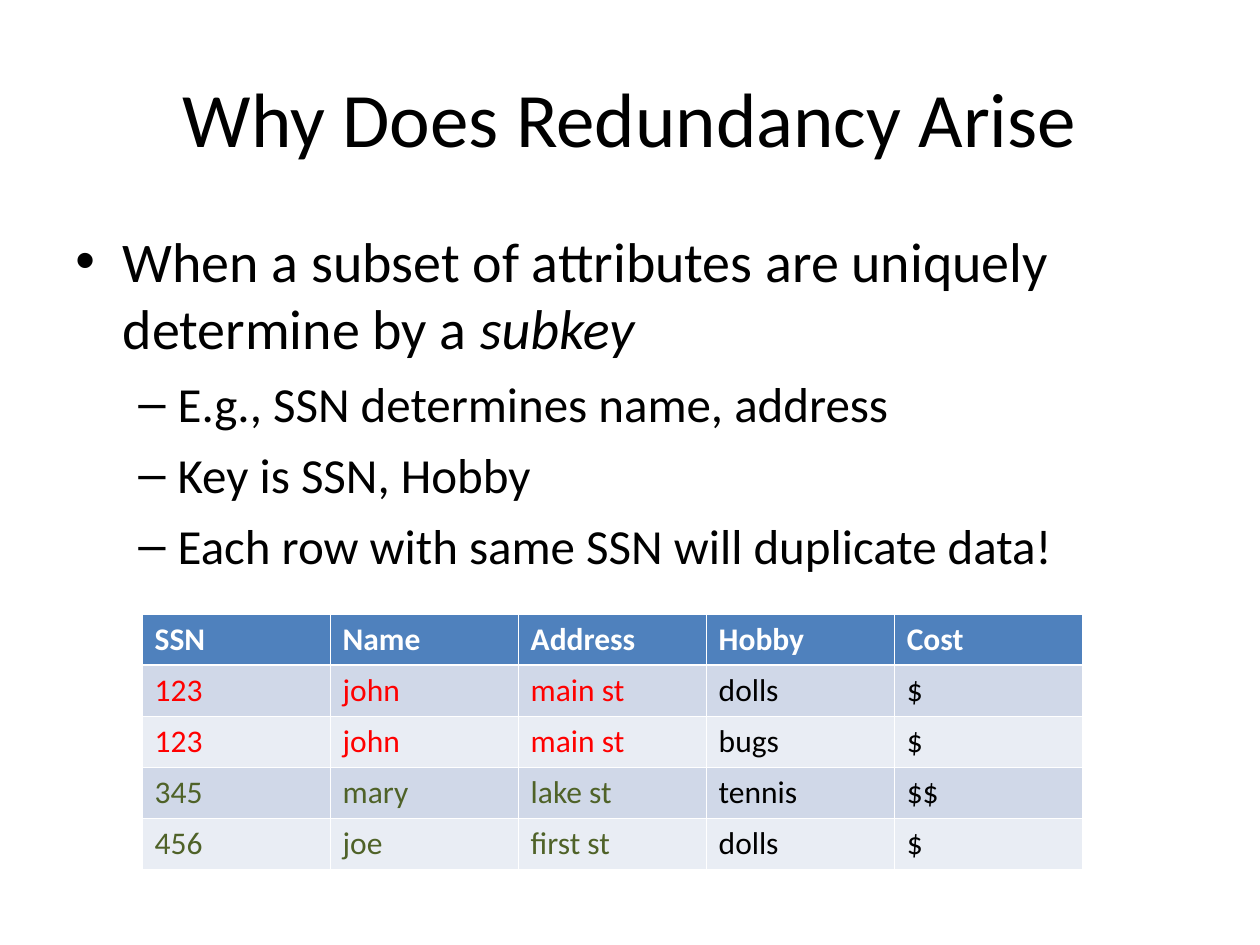
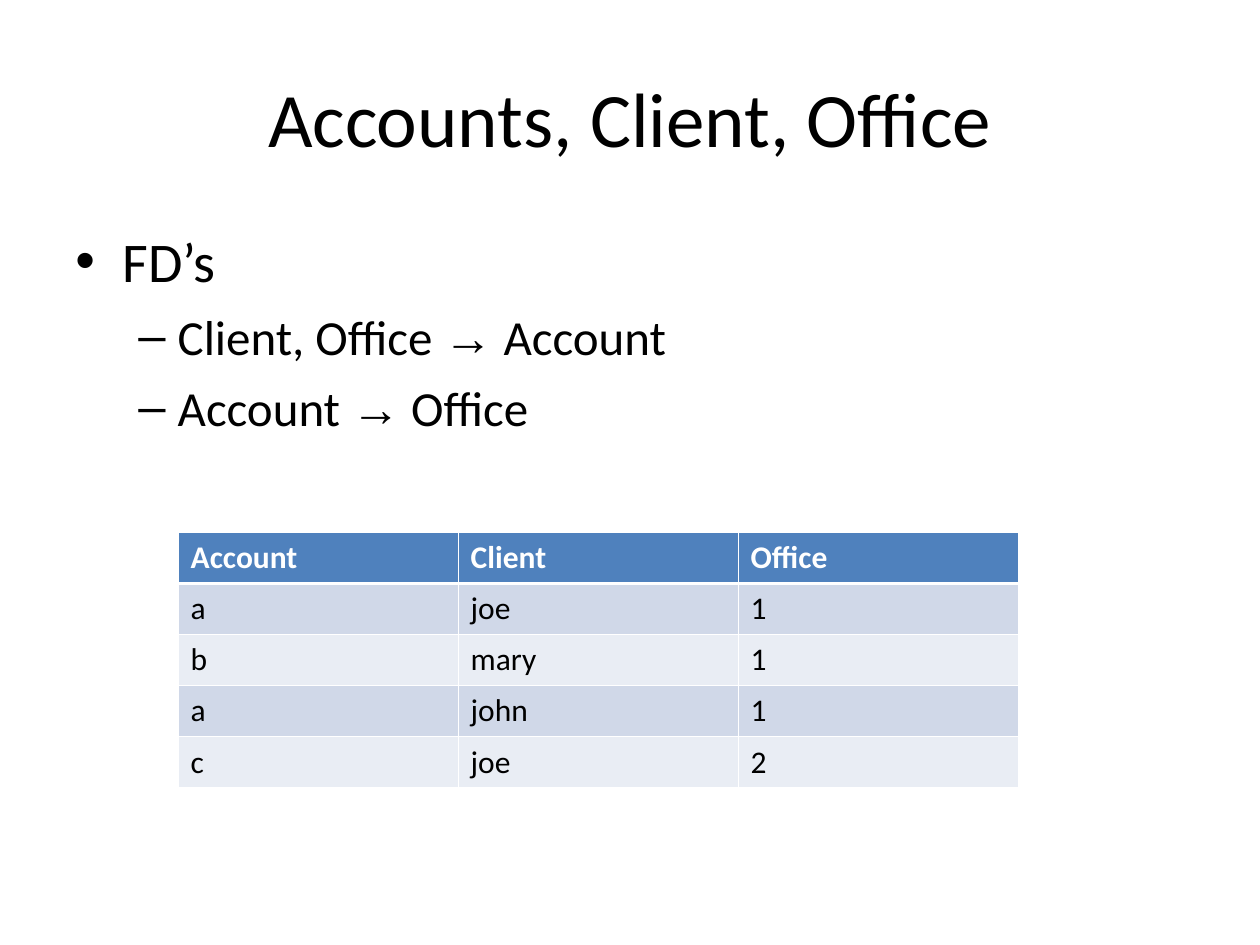
from lxml import etree
from pptx import Presentation
from pptx.dml.color import RGBColor
from pptx.enum.text import MSO_ANCHOR, PP_ALIGN
from pptx.oxml.ns import qn
from pptx.util import Pt

CENTER = PP_ALIGN.CENTER
TOP, MIDDLE = MSO_ANCHOR.TOP, MSO_ANCHOR.MIDDLE
COLORS = {"text": "000000", "white": "FFFFFF", "header": "4F81BD",
          "band_dark": "D0D8E8", "band_light": "E9EDF4",
          "red": "FF0000", "green": "4F6228"}
FONT, SYMBOL_FONT = "Calibri", "Arial"
# Bullet levels: character, size, left indent, hanging indent, space before
LEVELS = [("•", 32, 27, 27, 8), ("–", 28, 58.5, 22.5, 7)]
ROW_H = 29.2
THIN, THICK = 0.45, 1.47


def add_run(p, text, size=18, color="text", bold=False, italic=False, font=FONT):
    r = p.add_run()
    r.text = text
    r.font.name, r.font.size = font, Pt(size)
    r.font.bold, r.font.italic = bold, italic
    r.font.color.rgb = RGBColor.from_string(COLORS[color])


def add_color(parent, tag, color):
    child = etree.SubElement(parent, qn(tag))
    etree.SubElement(child, qn("a:srgbClr"), val=COLORS[color])


class Deck:
    def __init__(self):
        self.prs = Presentation()
        self.prs.slide_width, self.prs.slide_height = Pt(720), Pt(540)
        self.s = None

    def slide(self, title):
        self.s = self.prs.slides.add_slide(self.prs.slide_layouts[6])
        p = self.text_box(21.6, 90, MIDDLE).paragraphs[0]
        p.alignment = CENTER
        add_run(p, title, size=44)

    def text_box(self, top, height, anchor=TOP):
        tf = self.s.shapes.add_textbox(Pt(36), Pt(top), Pt(648), Pt(height)).text_frame
        tf.word_wrap = True
        tf.vertical_anchor = anchor
        return tf

    def bullets(self, items):
        """Each item is a level and a list of (text, format) runs."""
        tf = self.text_box(126, 356.4)
        for i, (level, runs) in enumerate(items):
            char, size, indent, hanging, before = LEVELS[level]
            p = tf.add_paragraph() if i else tf.paragraphs[0]
            p.level = level
            p.space_before = Pt(before)
            pPr = p._p.get_or_add_pPr()
            pPr.set("marL", str(Pt(indent)))
            pPr.set("indent", str(-Pt(hanging)))
            add_color(pPr, "a:buClr", "text")
            etree.SubElement(pPr, qn("a:buFont"), typeface=SYMBOL_FONT)
            etree.SubElement(pPr, qn("a:buChar"), char=char)
            for text, fmt in runs:
                add_run(p, text, size=size, **fmt)

    def borders(self, cell, row):
        widths = {"L": THIN, "R": THIN,
                  "T": THICK if row == 1 else THIN,
                  "B": THICK if row == 0 else THIN}
        tcPr = cell._tc.get_or_add_tcPr()
        for side, width in widths.items():
            ln = etree.SubElement(tcPr, qn(f"a:ln{side}"), w=str(Pt(width)))
            add_color(ln, "a:solidFill", "white")

    def table(self, left, top, width, rows, color_of=lambda row, col: "text"):
        n_cols = len(rows[0])
        table = self.s.shapes.add_table(len(rows), n_cols, Pt(left), Pt(top),
                                        Pt(width), Pt(ROW_H * len(rows))).table
        for col in table.columns:
            col.width = Pt(width / n_cols)
        for i, row in enumerate(rows):
            table.rows[i].height = Pt(ROW_H)
            header = i == 0
            fill = "header" if header else ("band_light", "band_dark")[i % 2]
            for j, text in enumerate(row):
                cell = table.cell(i, j)
                self.borders(cell, i)
                cell.fill.solid()
                cell.fill.fore_color.rgb = RGBColor.from_string(COLORS[fill])
                add_run(cell.text_frame.paragraphs[0], text, bold=header,
                        color="white" if header else color_of(i, j))


def person_color(row, col):
    """Colour the columns that SSN determines: red where rows repeat."""
    if col > 2:
        return "text"
    return "red" if row <= 2 else "green"


def dependency(left, right):
    return 1, [(left + " ", {}), ("→", {"font": SYMBOL_FONT}), (" " + right, {})]


def main():
    deck = Deck()

    # Redundancy
    deck.slide("Why Does Redundancy Arise")
    deck.bullets([
        (0, [("When a subset of attributes are uniquely determine by a ", {}),
             ("subkey", {"italic": True})]),
        (1, [("E.g., SSN determines name, address", {})]),
        (1, [("Key is SSN, Hobby", {})]),
        (1, [("Each row with same SSN will duplicate data!", {})]),
    ])
    deck.table(81.2, 350.8, 537.2, [
        ("SSN", "Name", "Address", "Hobby", "Cost"),
        ("123", "john", "main st", "dolls", "$"),
        ("123", "john", "main st", "bugs", "$"),
        ("345", "mary", "lake st", "tennis", "$$"),
        ("456", "joe", "first st", "dolls", "$"),
    ], person_color)

    # Functional dependencies
    deck.slide("Accounts, Client, Office")
    deck.bullets([
        (0, [("FD’s", {})]),
        dependency("Client, Office", "Account"),
        dependency("Account", "Office"),
    ])
    deck.table(101.8, 304.2, 480, [
        ("Account", "Client", "Office"),
        ("a", "joe", "1"),
        ("b", "mary", "1"),
        ("a", "john", "1"),
        ("c", "joe", "2"),
    ])

    deck.prs.save("out.pptx")


if __name__ == "__main__":
    main()
